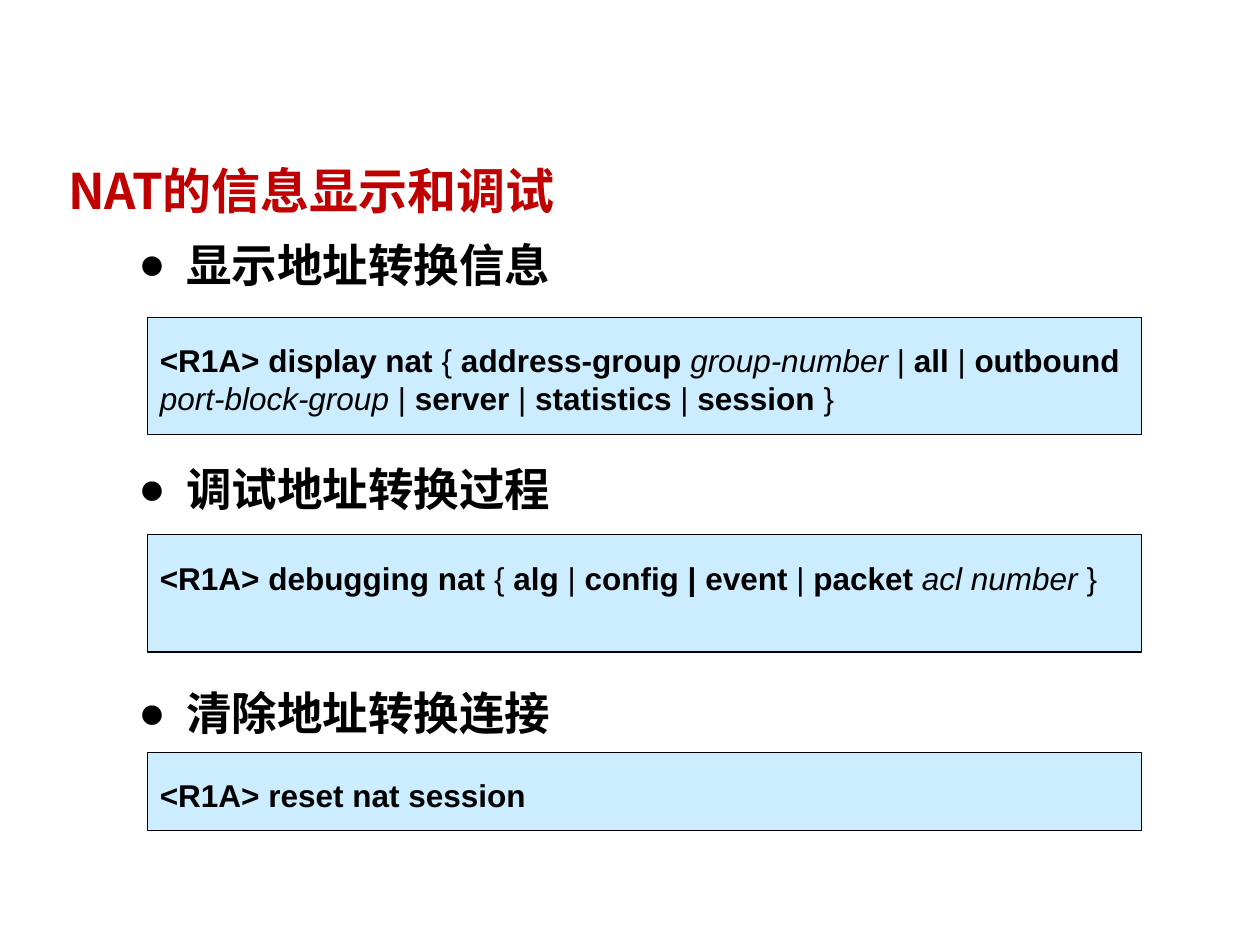
from dataclasses import dataclass

from lxml.etree import SubElement
from pptx import Presentation
from pptx.dml.color import RGBColor
from pptx.enum.shapes import MSO_SHAPE
from pptx.enum.text import MSO_ANCHOR, PP_ALIGN
from pptx.oxml.ns import qn
from pptx.util import Inches, Pt


@dataclass(frozen=True)
class Theme:
    """Colours, fonts and type sizes of the slide."""
    ink: RGBColor = RGBColor(0, 0, 0)
    accent: RGBColor = RGBColor(0xC0, 0, 0)
    panel: RGBColor = RGBColor(0xCC, 0xEC, 0xFF)
    title_font: str = "Noto Sans CJK JP"
    heading_font: str = "Noto Sans CJK SC"
    command_font: str = "Arial"
    title_size: Pt = Pt(28)
    heading_size: Pt = Pt(26)
    command_size: Pt = Pt(18)
    outline: Pt = Pt(0.75)


THEME = Theme()
WIDTH, HEIGHT = Inches(10), Inches(7.5)
HEADING_TOP, HEADING_PITCH = 1.88, 1.78
COMMAND_TOP, COMMAND_PITCH = 2.52, 1.725
HANGING = Inches(0.38)

BOLD, ITALIC, PLAIN = {"bold": True}, {"italic": True}, {}
SECTIONS = [
    ("显示地址转换信息", 0.93, [
        ("<R1A> display nat ", BOLD), ("{ ", PLAIN), ("address-group ", BOLD),
        ("group-number ", ITALIC), ("|", PLAIN), (" all ", BOLD), ("|", PLAIN),
        (" outbound ", BOLD), ("port-block-group ", ITALIC), ("|", PLAIN),
        (" server ", BOLD), ("|", PLAIN), (" statistics ", BOLD), ("|", PLAIN),
        (" session ", BOLD), ("}", PLAIN)]),
    ("调试地址转换过程", 0.93, [
        ("<R1A> debugging nat ", BOLD), ("{ ", PLAIN), ("alg ", BOLD), ("| ", PLAIN),
        ("config | event ", BOLD), ("|", PLAIN), (" packet ", BOLD),
        ("acl number ", ITALIC), ("}", PLAIN)]),
    ("清除地址转换连接", 0.62, [("<R1A> reset nat session", BOLD)]),
]


def set_all(target, values):
    """Set every attribute named in values on target."""
    for name, value in values.items():
        setattr(target, name, value)


def add_run(paragraph, text, font, size, color, style):
    """Append a run in one typeface for Latin and East Asian text."""
    run = paragraph.add_run()
    run.text = text
    set_all(run.font, {"name": font, "size": size, "bold": False, "italic": False, **style})
    run.font.color.rgb = color
    SubElement(run.font._element, qn("a:ea"), typeface=font)


def add_title(slide, text):
    """Place and format the title placeholder."""
    title = slide.shapes.title
    set_all(title, {"left": Inches(0.44), "top": Inches(1.15),
                    "width": Inches(8.61), "height": Inches(0.71)})
    set_all(title.text_frame, {"vertical_anchor": MSO_ANCHOR.MIDDLE, "word_wrap": True})
    paragraph = title.text_frame.paragraphs[0]
    paragraph.alignment = PP_ALIGN.LEFT
    add_run(paragraph, text, THEME.title_font, THEME.title_size, THEME.accent, BOLD)


def add_heading(slide, text, top):
    """Add a section heading with a round bullet and hanging indent."""
    heading = slide.shapes.add_textbox(Inches(1), Inches(top), Inches(8.08), Inches(0.52))
    frame = heading.text_frame
    set_all(frame, {"word_wrap": True, "margin_top": 0, "margin_bottom": 0})
    paragraph = frame.paragraphs[0]
    properties = paragraph._p.get_or_add_pPr()
    properties.set("marL", str(HANGING))
    properties.set("indent", str(-HANGING))
    SubElement(properties, qn("a:buFont"), typeface=THEME.command_font)
    SubElement(properties, qn("a:buChar"), char="●")
    add_run(paragraph, text, THEME.heading_font, THEME.heading_size, THEME.ink, BOLD)


def add_command(slide, parts, top, height):
    """Add a panel holding one command in mixed styles."""
    panel = slide.shapes.add_shape(MSO_SHAPE.RECTANGLE, Inches(1.17), Inches(top),
                                   Inches(7.89), Inches(height))
    panel.shadow.inherit = False
    panel.fill.solid()
    panel.fill.fore_color.rgb = THEME.panel
    panel.line.color.rgb = THEME.ink
    panel.line.width = THEME.outline
    set_all(panel.text_frame, {"word_wrap": True, "vertical_anchor": MSO_ANCHOR.TOP,
                               "margin_top": Inches(0.19)})
    paragraph = panel.text_frame.paragraphs[0]
    paragraph.alignment = PP_ALIGN.LEFT
    for text, style in parts:
        add_run(paragraph, text, THEME.command_font, THEME.command_size, THEME.ink, style)


def main():
    """Build the slide and save it."""
    deck = Presentation()
    set_all(deck, {"slide_width": WIDTH, "slide_height": HEIGHT})
    slide = deck.slides.add_slide(deck.slide_layouts[5])
    add_title(slide, "NAT的信息显示和调试")
    for row, (heading, height, parts) in enumerate(SECTIONS):
        add_heading(slide, heading, HEADING_TOP + row * HEADING_PITCH)
        add_command(slide, parts, COMMAND_TOP + row * COMMAND_PITCH, height)
    deck.save("out.pptx")


main()
